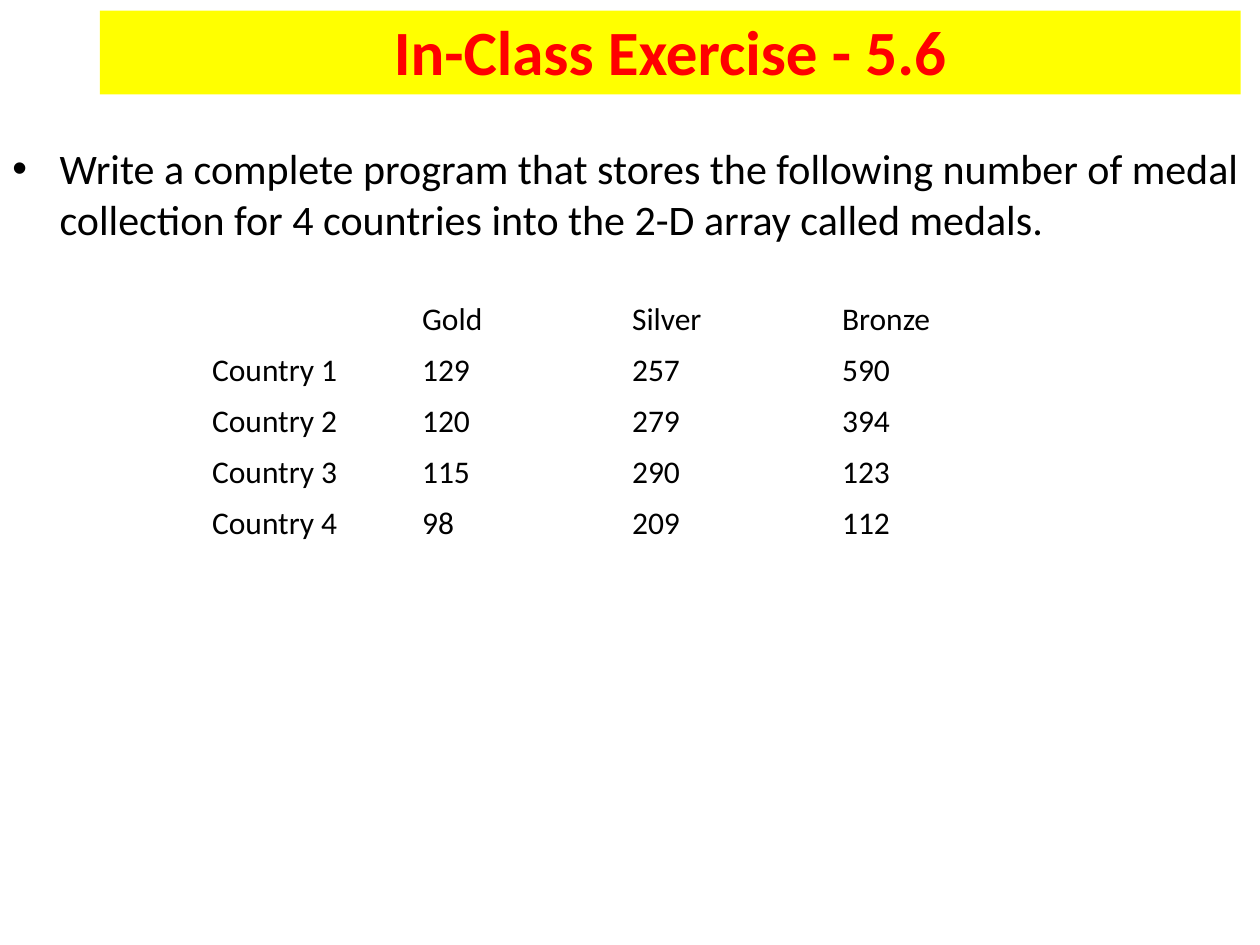
from lxml import etree
from pptx import Presentation
from pptx.dml.color import RGBColor
from pptx.enum.shapes import MSO_SHAPE
from pptx.enum.text import MSO_ANCHOR, PP_ALIGN
from pptx.oxml.ns import qn
from pptx.util import Pt

RECT = MSO_SHAPE.RECTANGLE
TOP, BOTTOM = MSO_ANCHOR.TOP, MSO_ANCHOR.BOTTOM
LEFT, CENTER = PP_ALIGN.LEFT, PP_ALIGN.CENTER

WHITE = RGBColor(255, 255, 255)
BLACK = RGBColor(0, 0, 0)
YELLOW = RGBColor(255, 255, 0)
RED = RGBColor(255, 0, 0)
FONT = "Calibri"

MEDALS = [
    ["", "Gold", "Silver", "Bronze"],
    ["Country 1", "129", "257", "590"],
    ["Country 2", "120", "279", "394"],
    ["Country 3", "115", "290", "123"],
    ["Country 4", "98", "209", "112"],
]


def style(para, size, color, bold=False):
    for run in para.runs:
        font = run.font
        font.name, font.size, font.bold = FONT, Pt(size), bold
        font.color.rgb = color


def panel(slide, box, fill, text, anchor, align):
    """Add a filled box with one paragraph and return the paragraph."""
    shape = slide.shapes.add_shape(RECT, *map(Pt, box))
    shape.shadow.inherit = False
    shape.fill.solid()
    shape.fill.fore_color.rgb = fill
    shape.line.fill.background()
    frame = shape.text_frame
    frame.word_wrap = True
    frame.vertical_anchor = anchor
    frame.text = text
    para = frame.paragraphs[0]
    para.alignment = align
    return para


def add_task(slide, box):
    para = panel(slide, box, WHITE,
                 "Write a complete program that stores the following number of "
                 "medal collection for 4 countries into the 2-D array called "
                 "medals.", TOP, LEFT)
    style(para, 24, BLACK)
    para.space_before = Pt(4.8)
    # Bullet with hanging indent
    props = para._p.get_or_add_pPr()
    props.set("marL", str(Pt(27)))
    props.set("indent", str(-Pt(27)))
    etree.SubElement(props, qn("a:buFont"), typeface="Arial")
    etree.SubElement(props, qn("a:buChar"), char="•")


def add_border(cell, side, width):
    line = etree.SubElement(cell._tc.get_or_add_tcPr(), qn("a:ln" + side),
                            w=str(Pt(width)))
    fill = etree.SubElement(line, qn("a:solidFill"))
    etree.SubElement(fill, qn("a:srgbClr"), val=str(WHITE))


def add_medals(slide, box):
    left, top, width, height = box
    rows, cols = len(MEDALS), len(MEDALS[0])
    table = slide.shapes.add_table(rows, cols, *map(Pt, box)).table
    for col in table.columns:
        col.width = Pt(width / cols)
    for r, row in enumerate(MEDALS):
        table.rows[r].height = Pt(height / rows)
        for c, text in enumerate(row):
            cell = table.cell(r, c)
            cell.text = text
            style(cell.text_frame.paragraphs[0], 18, BLACK)
            # A thicker rule parts the header from the body
            for side in "LRTB":
                rule = (r, side) in ((0, "B"), (1, "T"))
                add_border(cell, side, 3 if rule else 1)
            cell.fill.background()


def add_title(slide, box):
    para = panel(slide, box, YELLOW, "In-Class Exercise - 5.6", BOTTOM, CENTER)
    style(para, 36, RED, True)


def main():
    deck = Presentation()
    deck.slide_width, deck.slide_height = Pt(720), Pt(540)
    slide = deck.slides.add_slide(deck.slide_layouts[6])
    add_task(slide, (0, 78, 720, 462))
    add_medals(slide, (114, 168, 480, 146))
    add_title(slide, (57, 6, 652, 48))
    deck.save("out.pptx")


if __name__ == "__main__":
    main()
